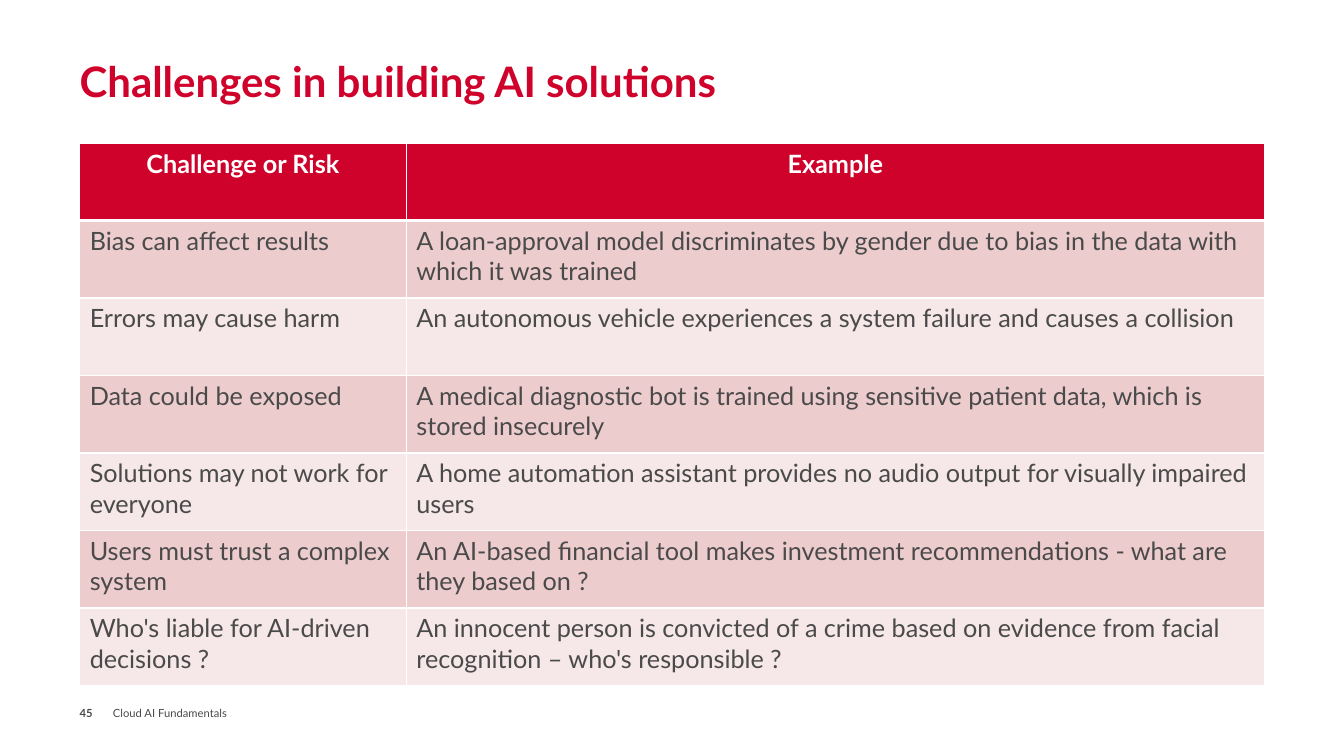
from dataclasses import dataclass

from pptx import Presentation
from pptx import util as u
from pptx.dml.color import RGBColor
from pptx.enum import text
from pptx.oxml import parse_xml
from pptx.oxml.ns import nsdecls


@dataclass(frozen=True)
class Theme:
    font: str = "Lato"
    red: str = "CF022B"
    grey: str = "4A4A4A"
    white: str = "FFFFFF"
    bands: tuple = ("EDCCCD", "F6E7E8")
    title_size: int = 30
    table_size: int = 18
    footer_size: int = 8


HEADER = ("Challenge or Risk", "Example")
RISKS = [
    ("Bias can affect results",
     "A loan-approval model discriminates by gender due to bias in the data "
     "with which it was trained"),
    ("Errors may cause harm",
     "An autonomous vehicle experiences a system failure and causes a collision"),
    ("Data could be exposed",
     "A medical diagnostic bot is trained using sensitive patient data, which "
     "is stored insecurely"),
    ("Solutions may not work for everyone",
     "A home automation assistant provides no audio output for visually "
     "impaired users"),
    ("Users must trust a complex system",
     "An AI-based financial tool makes investment recommendations - what are "
     "they based on ?"),
    ("Who's liable for AI-driven decisions ?",
     "An innocent person is convicted of a crime based on evidence from facial "
     "recognition – who's responsible ?"),
]


class SlideBuilder:
    def __init__(self, prs, theme):
        self.theme = theme
        self.s = prs.slides.add_slide(prs.slide_layouts[6])

    def style(self, p, size, color, bold=False):
        f = p.font
        f.name, f.size, f.bold = self.theme.font, u.Pt(size), bold
        f.color.rgb = RGBColor.from_string(color)

    def text_box(self, box, words, size, color, bold=False,
                 anchor=text.MSO_ANCHOR.MIDDLE):
        tf = self.s.shapes.add_textbox(*map(u.Inches, box)).text_frame
        tf.word_wrap = True
        tf.vertical_anchor = anchor
        tf.margin_left = tf.margin_top = tf.margin_right = tf.margin_bottom = 0
        p = tf.paragraphs[0]
        p.text = words
        self.style(p, size, color, bold)

    def borders(self, cell, bottom):
        tc_pr = cell._tc.get_or_add_tcPr()
        for side, width in (("L", 1), ("R", 1), ("T", 1), ("B", bottom)):
            tc_pr.append(parse_xml(
                f'<a:ln{side} {nsdecls("a")} w="{u.Pt(width)}"><a:solidFill>'
                f'<a:srgbClr val="{self.theme.white}"/></a:solidFill></a:ln{side}>'))

    def table(self, box, rows, widths):
        t = self.theme
        left, top, width, height = map(u.Inches, box)
        tbl = self.s.shapes.add_table(
            len(rows), len(widths), left, top, width, height).table
        for col, w in zip(tbl.columns, widths):
            col.width = u.Inches(w)
        for i, row in enumerate(rows):
            head = i == 0
            for j, words in enumerate(row):
                cell = tbl.cell(i, j)
                # The rule under the header is heavier and shared with row 1
                self.borders(cell, 3 if head else 1)
                cell.fill.solid()
                cell.fill.fore_color.rgb = RGBColor.from_string(
                    t.red if head else t.bands[(i - 1) % 2])
                p = cell.text_frame.paragraphs[0]
                p.text = words
                if head:
                    p.alignment = text.PP_ALIGN.CENTER
                self.style(p, t.table_size, t.white if head else t.grey, head)


def main():
    prs = Presentation()
    prs.slide_width, prs.slide_height = u.Inches(13.33), u.Inches(7.5)
    t = Theme()
    b = SlideBuilder(prs, t)

    # Footer and page number
    b.text_box((1.12, 6.93, 3.94, 0.28), "Cloud AI Fundamentals",
               t.footer_size, t.grey)
    b.text_box((0.79, 6.93, 0.39, 0.28), "45", t.footer_size, t.grey, True)

    # Title
    b.text_box((0.79, 0.03, 11.76, 1.02), "Challenges in building AI solutions",
               t.title_size, t.red, True, text.MSO_ANCHOR.BOTTOM)

    # Risks and examples
    b.table((0.79, 1.42, 11.76, 5.38), [HEADER, *RISKS], (3.24, 8.51))

    prs.save("out.pptx")


if __name__ == "__main__":
    main()
